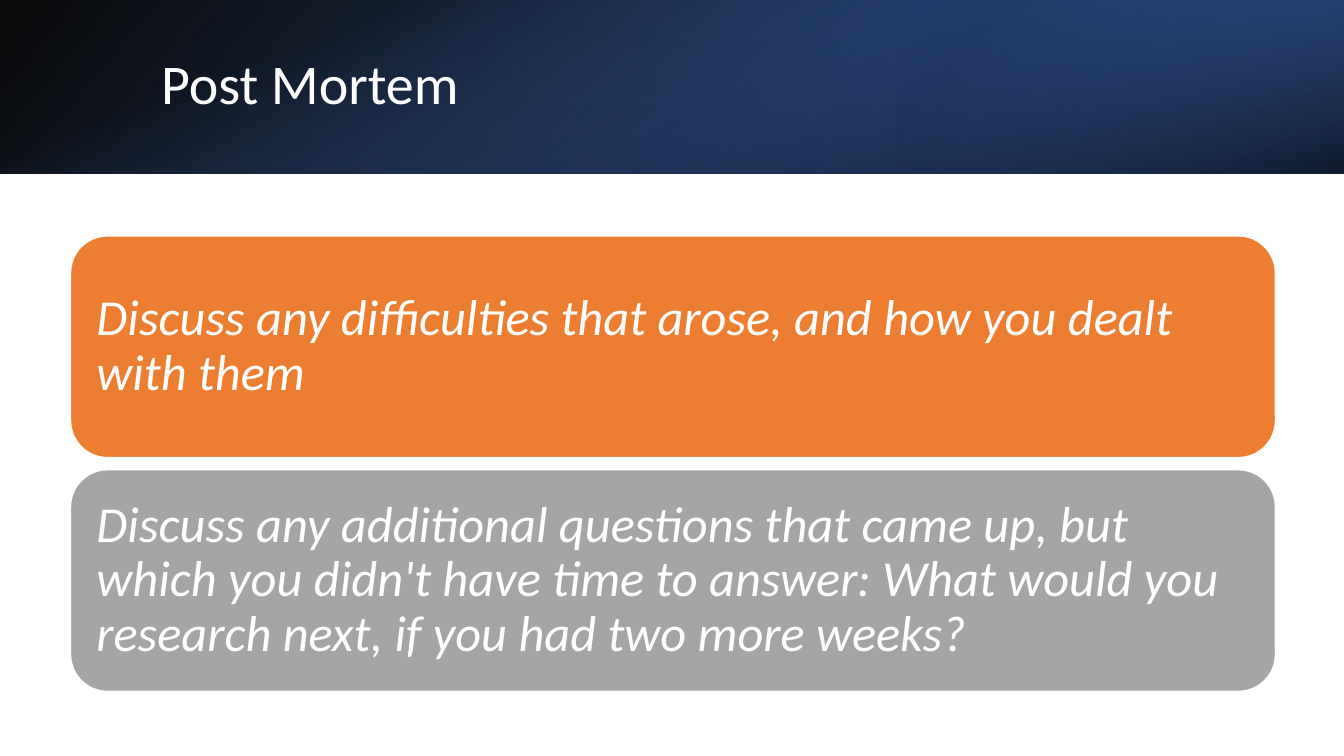
import dataclasses
import lxml.etree
import pptx
import pptx.dml.color
import pptx.enum.shapes
import pptx.enum.text
import pptx.oxml.ns
import pptx.util


@dataclasses.dataclass(frozen=True)
class Theme:
    font: str = "Calibri"
    title_size: int = 40
    card_size: int = 36
    white: str = "FFFFFF"
    black: str = "000000"
    navy: str = "203864"
    deep_blue: str = "2F5597"
    blue: str = "4472C4"
    orange: str = "ED7D31"
    gray: str = "A5A5A5"


class Page:
    def __init__(self, deck, theme):
        self.deck = deck
        self.theme = theme
        self.slide = deck.slides.add_slide(deck.slide_layouts[6])

    def area(self, left, top, width, height):
        across, down = self.deck.slide_width, self.deck.slide_height
        return [
            round(percent * length / 100)
            for percent, length in zip((left, top, width, height), (across, down) * 2)
        ]

    def color(self, value):
        return pptx.dml.color.RGBColor.from_string(value)

    def shape(self, kind, area):
        shape = self.slide.shapes.add_shape(kind, *area)
        shape.shadow.inherit = False
        return shape

    def gradient(self, area, stops, angle, turn=0, flip=False):
        left, top, width, height = area
        if turn == 90:
            shift = (width - height) // 2
            area = left + shift, top - shift, height, width
        shape = self.shape(pptx.enum.shapes.MSO_SHAPE.RECTANGLE, area)
        shape.rotation = turn
        if flip:
            shape._element.spPr.xfrm.set("flipH", "1")
        shape.line.fill.background()
        shape.fill.gradient()
        shape.fill.gradient_angle = 360 - angle
        for stop, (position, value, opacity) in zip(shape.fill.gradient_stops, stops):
            stop.position = position / 100
            stop.color.rgb = self.color(value)
        tints = shape._element.spPr.iter(pptx.oxml.ns.qn("a:srgbClr"))
        for tint, (position, value, opacity) in zip(tints, stops):
            alpha = lxml.etree.SubElement(tint, pptx.oxml.ns.qn("a:alpha"))
            alpha.set("val", str(opacity * 1000))

    def add_text(self, box, text, size, italic=False):
        frame = box.text_frame
        frame.word_wrap = True
        frame.vertical_anchor = pptx.enum.text.MSO_ANCHOR.MIDDLE
        frame.text = text
        para = frame.paragraphs[0]
        para.alignment = pptx.enum.text.PP_ALIGN.LEFT
        para.line_spacing = 0.9
        font = para.runs[0].font
        font.name = self.theme.font
        font.size = pptx.util.Pt(size)
        font.italic = italic
        font.color.rgb = self.color(self.theme.white)
        return frame

    def title(self, area, text):
        box = self.slide.shapes.add_textbox(*area)
        self.add_text(box, text, self.theme.title_size)

    def card(self, area, text, fill):
        box = self.shape(pptx.enum.shapes.MSO_SHAPE.ROUNDED_RECTANGLE, area)
        box.fill.solid()
        box.fill.fore_color.rgb = self.color(fill)
        box.line.color.rgb = self.color(self.theme.white)
        box.line.width = pptx.util.Pt(1)
        frame = self.add_text(box, text, self.theme.card_size, italic=True)
        inset = pptx.util.Inches(0.15)
        frame.margin_left = frame.margin_right = inset
        frame.margin_top = frame.margin_bottom = inset


deck = pptx.Presentation()
deck.slide_width = pptx.util.Inches(13.33)
deck.slide_height = pptx.util.Inches(7.5)
theme = Theme()
page = Page(deck, theme)

BAND_HEIGHT = 22.93
band = page.area(0, 0, 100, BAND_HEIGHT)
right_third = page.area(66.67, 0, 33.33, BAND_HEIGHT)
page.gradient(band, [(0, theme.black, 96), (100, theme.deep_blue, 100)], 140, flip=True)
page.gradient(
    right_third, [(19, theme.navy, 68), (100, theme.blue, 79)], 320, turn=180, flip=True
)
page.gradient(band, [(23, theme.blue, 0), (99, theme.black, 74)], 340, turn=90)
page.title(page.area(11.25, 5.07, 82.35, 12.8), "Post Mortem")

CARDS = [
    ("Discuss any difficulties that arose, and how you dealt with them", theme.orange),
    (
        "Discuss any additional questions that came up, but which you didn't have "
        "time to answer: What would you research next, if you had two more weeks?",
        theme.gray,
    ),
]
CARD_TOP, CARD_HEIGHT, CARD_GAP = 31.2, 29.33, 1.6
for row, (text, fill) in enumerate(CARDS):
    top = CARD_TOP + row * (CARD_HEIGHT + CARD_GAP)
    page.card(page.area(5.25, top, 89.65, CARD_HEIGHT), text, fill)

deck.save("out.pptx")
